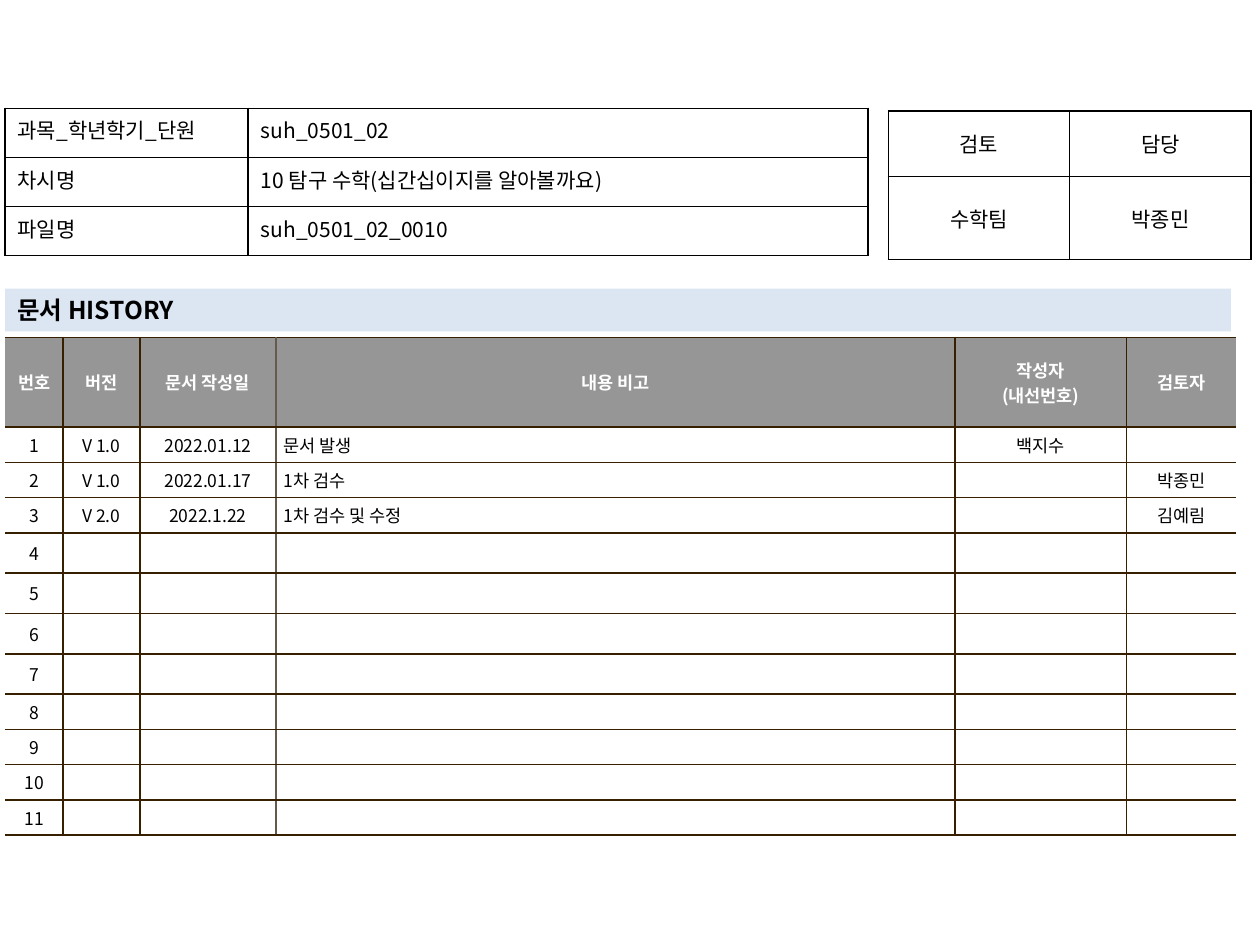
import pptx
import pptx.dml.color
import pptx.enum.shapes
import pptx.enum.text
import pptx.oxml.ns
import pptx.util
from lxml import etree

Inches = pptx.util.Inches
RGBColor = pptx.dml.color.RGBColor
Align = pptx.enum.text.PP_ALIGN
Anchor = pptx.enum.text.MSO_ANCHOR
qn = pptx.oxml.ns.qn

FONT = "Noto Sans CJK KR"
BLACK = RGBColor(0x00, 0x00, 0x00)
WHITE = RGBColor(0xFF, 0xFF, 0xFF)
GRAY = RGBColor(0x96, 0x96, 0x96)
PALE_BLUE = RGBColor(0xDC, 0xE6, 0xF2)
BROWN = RGBColor(0x36, 0x20, 0x00)
TAUPE = RGBColor(0x64, 0x5B, 0x4C)

LESSON = [
    ["과목_학년학기_단원", "suh_0501_02"],
    ["차시명", "10 탐구 수학(십간십이지를 알아볼까요)"],
    ["파일명", "suh_0501_02_0010"],
]
APPROVAL = [["검토", "담당"], ["수학팀", "박종민"]]
HEADINGS = ["번호", "버전", "문서 작성일", "내용 비고", "작성자\n(내선번호)", "검토자"]
ENTRIES = [
    ["V 1.0", "2022.01.12", "문서 발생", "백지수", ""],
    ["V 1.0", "2022.01.17", "1차 검수", "", "박종민"],
    ["V 2.0", "2022.1.22", "1차 검수 및 수정", "", "김예림"],
]
ENTRY_COUNT = 11
BLANK_ENTRY = [""] * 5
BANNER = "문서 HISTORY"

HISTORY_COLUMNS = [0.46, 0.61, 1.08, 5.39, 1.36, 0.87]
HISTORY_ROWS = [0.71] + [0.28] * 3 + [0.32] * 4 + [0.28] * 4
DATE_COLUMN, NOTE_COLUMN = 2, 3

INFO_TEXT = {"size": pptx.util.Pt(12), "bold": False}
ENTRY_TEXT = {"size": pptx.util.Pt(10), "bold": False}
HEADING_TEXT = {"size": pptx.util.Pt(10), "bold": True}
BANNER_TEXT = {"size": pptx.util.Pt(14), "bold": True}


def write(frame, text, style, color, align):
    for index, line in enumerate(text.split("\n")):
        para = frame.add_paragraph() if index else frame.paragraphs[0]
        para.alignment = align
        if not line:
            size = str(int(style["size"].pt * 100))
            etree.SubElement(para._p, qn("a:endParaRPr"), sz=size)
            continue
        span = para.add_run()
        span.text = line
        for name, value in {"name": FONT, **style}.items():
            setattr(span.font, name, value)
        span.font.color.rgb = color
        etree.SubElement(span._r.get_or_add_rPr(), qn("a:ea"), typeface=FONT)


def draw_borders(cell, colors):
    properties = cell._tc.get_or_add_tcPr()
    for index, (side, color) in enumerate(zip("LRTB", colors)):
        line = etree.Element(qn(f"a:ln{side}"), w="12700")
        if color is None:
            etree.SubElement(line, qn("a:noFill"))
        else:
            fill = etree.SubElement(line, qn("a:solidFill"))
            etree.SubElement(fill, qn("a:srgbClr"), val=str(color))
        properties.insert(index, line)


def add_grid(page, left, top, columns, rows):
    frame = page.shapes.add_table(
        len(rows), len(columns), Inches(left), Inches(top),
        Inches(sum(columns)), Inches(sum(rows)))
    table = frame.table
    table.first_row = table.horz_banding = False
    for column, width in zip(table.columns, columns):
        column.width = Inches(width)
    for row, height in zip(table.rows, rows):
        row.height = Inches(height)
    return table


def fill_cell(cell, text, style, color, align, anchor, margins, borders, fill=None):
    for side, margin in zip(("left", "right", "top", "bottom"), margins):
        setattr(cell, f"margin_{side}", Inches(margin))
    cell.vertical_anchor = anchor
    if fill is None:
        cell.fill.background()
    else:
        cell.fill.solid()
        cell.fill.fore_color.rgb = fill
    draw_borders(cell, borders)
    write(cell.text_frame, text, style, color, align)


def add_info(page, left, top, columns, rows, content, aligns, anchor):
    table = add_grid(page, left, top, columns, rows)
    for r, texts in enumerate(content):
        for c, text in enumerate(texts):
            fill_cell(table.cell(r, c), text, INFO_TEXT, BLACK, aligns[c], anchor,
                      (0.1, 0.1, 0.05, 0.05), [BLACK] * 4)


def add_history(page):
    table = add_grid(page, 0.04, 2.68, HISTORY_COLUMNS, HISTORY_ROWS)
    blanks = [BLANK_ENTRY] * (ENTRY_COUNT - len(ENTRIES))
    numbered = [[str(n), *entry] for n, entry in enumerate(ENTRIES + blanks, 1)]
    last = len(HEADINGS) - 1
    for r, texts in enumerate([HEADINGS] + numbered):
        style, color, fill = (ENTRY_TEXT, BLACK, WHITE) if r else (HEADING_TEXT, WHITE, GRAY)
        for c, text in enumerate(texts):
            left = None if c == 0 else TAUPE if c == NOTE_COLUMN else BROWN
            right = None if c == last else TAUPE if c == DATE_COLUMN else BROWN
            align = Align.LEFT if r and c == NOTE_COLUMN else Align.CENTER
            fill_cell(table.cell(r, c), text, style, color, align, Anchor.MIDDLE,
                      (0.06, 0.06, 0.04, 0.04), (left, right, BROWN, BROWN), fill)


def add_banner(page):
    box = page.shapes.add_shape(
        pptx.enum.shapes.MSO_SHAPE.RECTANGLE,
        Inches(0.04), Inches(2.29), Inches(9.73), Inches(0.34))
    box.shadow.inherit = False
    box.fill.solid()
    box.fill.fore_color.rgb = PALE_BLUE
    box.line.fill.background()
    box.text_frame.word_wrap = True
    box.text_frame.vertical_anchor = Anchor.MIDDLE
    write(box.text_frame, BANNER, BANNER_TEXT, BLACK, Align.LEFT)


def main():
    deck = pptx.Presentation()
    deck.slide_width, deck.slide_height = Inches(10), Inches(7.5)
    page = deck.slides.add_slide(deck.slide_layouts[6])
    add_history(page)
    add_info(page, 7.05, 0.88, [1.44] * 2, [0.52, 0.66], APPROVAL,
             [Align.CENTER] * 2, Anchor.MIDDLE)
    add_banner(page)
    add_info(page, 0.04, 0.86, [1.93, 4.92], [0.39] * 3, LESSON,
             [Align.JUSTIFY, Align.LEFT], Anchor.TOP)
    deck.save("out.pptx")


if __name__ == "__main__":
    main()
